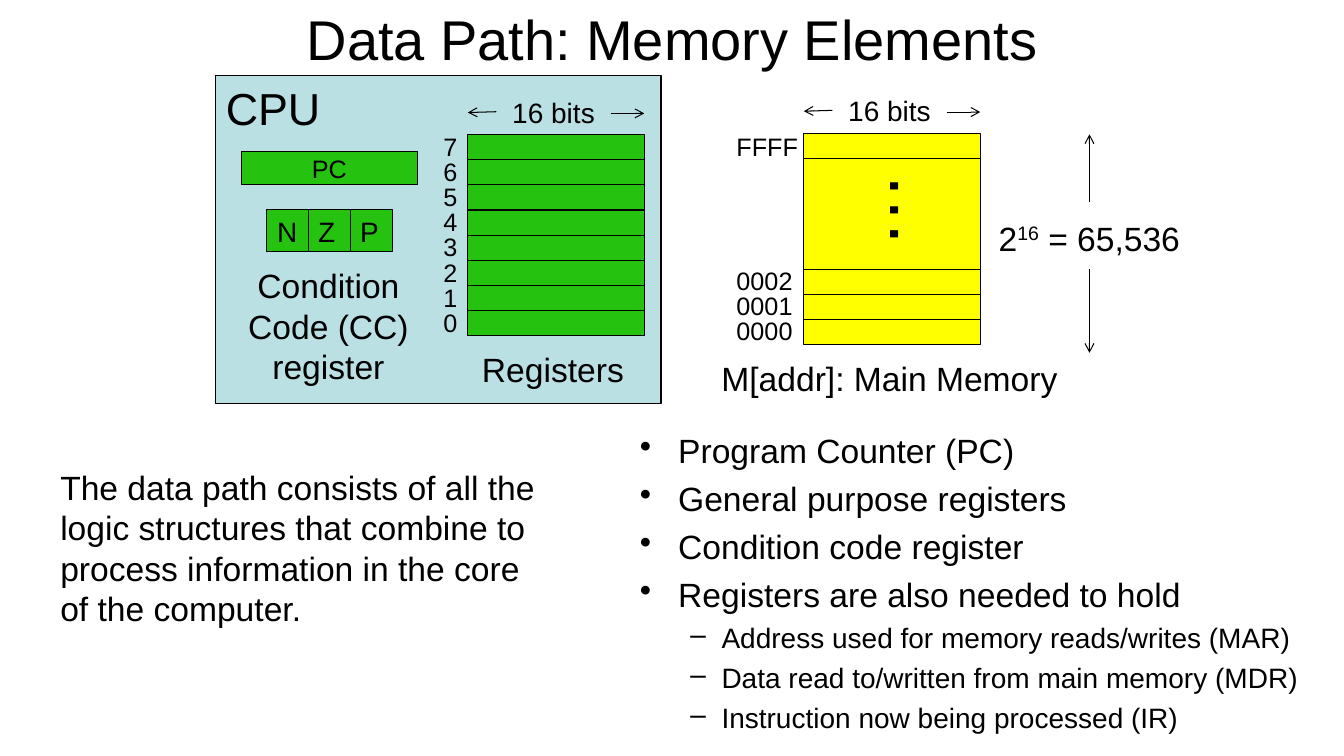
from collections import namedtuple

from lxml import etree
from pptx import Presentation
from pptx.dml.color import RGBColor
from pptx.enum import shapes, text
from pptx.oxml import ns
from pptx import util as u

COLOURS = {"ink": "000000", "cpu": "BBE0E3", "register": "25C210", "memory": "FFFF00"}
CELL = u.Inches(1) / 12
COLUMNS, ROWS = 160, 90
WORD_WIDTH, WORD_HEIGHT = 21, 3
LEFT, CENTER = text.PP_ALIGN.LEFT, text.PP_ALIGN.CENTER
TOP, MIDDLE = text.MSO_ANCHOR.TOP, text.MSO_ANCHOR.MIDDLE

Box = namedtuple("Box", "left top width height")


def inside(box, left, top, width, height):
    return Box(box.left + left, box.top + top, width, height)


def cells(*lengths):
    return [u.Emu(round(length * CELL)) for length in lengths]


def colour(name):
    return RGBColor.from_string(COLOURS[name])


def style(para, size, align=LEFT):
    para.alignment = align
    para.font.size = u.Pt(size)
    para.font.name = "Arial"
    para.font.color.rgb = colour("ink")


def write(shape, lines, size, align=LEFT, anchor=TOP, wrap=True):
    frame = shape.text_frame
    frame.word_wrap = wrap
    frame.vertical_anchor = anchor
    for number, line in enumerate(lines):
        para = frame.add_paragraph() if number else frame.paragraphs[0]
        para.add_run().text = line
        style(para, size, align)


def add_label(page, box, lines, size, align=LEFT, anchor=TOP, wrap=False):
    label = page.shapes.add_textbox(*cells(*box))
    write(label, lines, size, align, anchor, wrap)
    return label


def add_block(page, box, fill):
    block = page.shapes.add_shape(shapes.MSO_SHAPE.RECTANGLE, *cells(*box))
    block.shadow.inherit = False
    block.fill.solid()
    block.fill.fore_color.rgb = colour(fill)
    block.line.color.rgb = colour("ink")
    block.line.width = u.Pt(0.75)
    return block


def add_line(page, box, start, end, arrow=False):
    points = cells(box.left + start[0], box.top + start[1],
                   box.left + end[0], box.top + end[1])
    line = page.shapes.add_connector(shapes.MSO_CONNECTOR.STRAIGHT, *points)
    line.line.color.rgb = colour("ink")
    line.line.width = u.Pt(0.75)
    if arrow:
        etree.SubElement(line.line._get_or_add_ln(), ns.qn("a:tailEnd"), type="arrow")
    etree.SubElement(line._element.spPr, ns.qn("a:effectLst"))


def add_word_size(page, store):
    label = add_label(page, inside(store, 4, -4.5, 12.4, 4.6), ["16 bits"], 20, CENTER)
    label.text_frame.paragraphs[0].line_spacing = 0.8
    add_line(page, store, (17, -2.5), (WORD_WIDTH, -2.5), arrow=True)
    add_line(page, store, (3.4, -2.7), (0, -2.6), arrow=True)


def add_registers(page, box):
    store = inside(box, 30, 7, WORD_WIDTH, 8 * WORD_HEIGHT)
    for row in range(8):
        top = row * WORD_HEIGHT
        add_block(page, inside(store, 0, top, WORD_WIDTH, WORD_HEIGHT), "register")
        add_label(page, inside(store, -4.1, top - 1, 4.1, 4.8), [str(7 - row)], 18)
    add_word_size(page, store)
    add_label(page, inside(box, 30.5, 32, 19.4, 6), ["Registers"], 24)


def add_cpu(page, box):
    write(add_block(page, box, "cpu"), ["CPU"], 32)
    add_registers(page, box)
    counter = add_block(page, inside(box, 3, 9, WORD_WIDTH, 4), "register")
    write(counter, ["PC"], 18, CENTER, MIDDLE)
    flags = (("N", CENTER, MIDDLE), ("Z", LEFT, TOP), ("P", LEFT, TOP))
    for column, (flag, align, anchor) in enumerate(flags):
        block = add_block(page, inside(box, 6 + 5 * column, 16, 5, 5), "register")
        write(block, [flag], 20, align, anchor)
    add_label(page, inside(box, 1.9, 22, 23, 15.7),
              ["Condition", "Code (CC) register"], 24, CENTER, wrap=True)


def add_memory(page, box):
    store = inside(box, 11, 6.84, WORD_WIDTH, 25.2)
    add_block(page, store, "memory")
    add_word_size(page, store)
    borders = [WORD_HEIGHT] + [store.height - WORD_HEIGHT * row for row in (3, 2, 1)]
    for border in borders:
        add_line(page, store, (0, border), (WORD_WIDTH, border))
    gap = add_label(page, inside(store, 8.1, 3.2, 11.5, 12.1), ["…"], 54)
    gap.rotation = 90
    addresses = (("FFFF", 6, 9.8), ("0002", 22, 9.1), ("0001", 25, 9.1), ("0000", 28, 9.1))
    for address, top, width in addresses:
        add_label(page, inside(box, 1.8, top, width, 4.8), [address], 18)
    add_label(page, inside(box, 0, 33, 42.8, 6), ["M[addr]: Main Memory"], 24)

    size = add_label(page, inside(box, 33, 16.3, 24.6, 6), ["2"], 24)
    para = size.text_frame.paragraphs[0]
    power = para.add_run()
    power.text = "16"
    power._r.get_or_add_rPr().set("baseline", "30000")
    para.add_run().text = " = 65,536"
    add_line(page, box, (45, 15), (45, 7), arrow=True)
    add_line(page, box, (45, 23), (45, 33), arrow=True)


def add_bullets(page, box, items):
    levels = (("•", 0.38, 0.38, 24, 5.5), ("–", 0.81, 0.31, 20, 4.6))
    frame = page.shapes.add_textbox(*cells(*box)).text_frame
    frame.word_wrap = True
    for number, (level, item) in enumerate(items):
        mark, margin, hanging, size, space = levels[level]
        para = frame.add_paragraph() if number else frame.paragraphs[0]
        para.add_run().text = item
        para.level = level
        properties = para._p.get_or_add_pPr()
        properties.set("marL", str(u.Inches(margin)))
        properties.set("indent", str(-u.Inches(hanging)))
        etree.SubElement(properties, ns.qn("a:buChar"), char=mark)
        if number:
            para.space_before = u.Pt(space)
        style(para, size)


def main():
    deck = Presentation()
    deck.slide_width, deck.slide_height = cells(COLUMNS, ROWS)
    page = deck.slides.add_slide(deck.slide_layouts[6])
    add_label(page, Box(29, 0, 102, 9), ["Data Path: Memory Elements"], 40,
              CENTER, MIDDLE, wrap=True)
    add_bullets(page, Box(75, 50.6, 83, 39), (
        (0, "Program Counter (PC)"),
        (0, "General purpose registers"),
        (0, "Condition code register"),
        (0, "Registers are also needed to hold"),
        (1, "Address used for memory reads/writes (MAR)"),
        (1, "Data read to/written from main memory (MDR)"),
        (1, "Instruction now being processed (IR)"),
    ))
    add_memory(page, Box(84.7, 9, 58, 39))
    add_cpu(page, Box(25.7, 9, 53, 39))
    add_label(page, Box(6, 55, 59, 20.6), [
        "The data path consists of all the logic structures that combine to "
        "process information in the core of the computer."], 24, wrap=True)
    deck.save("out.pptx")


if __name__ == "__main__":
    main()
